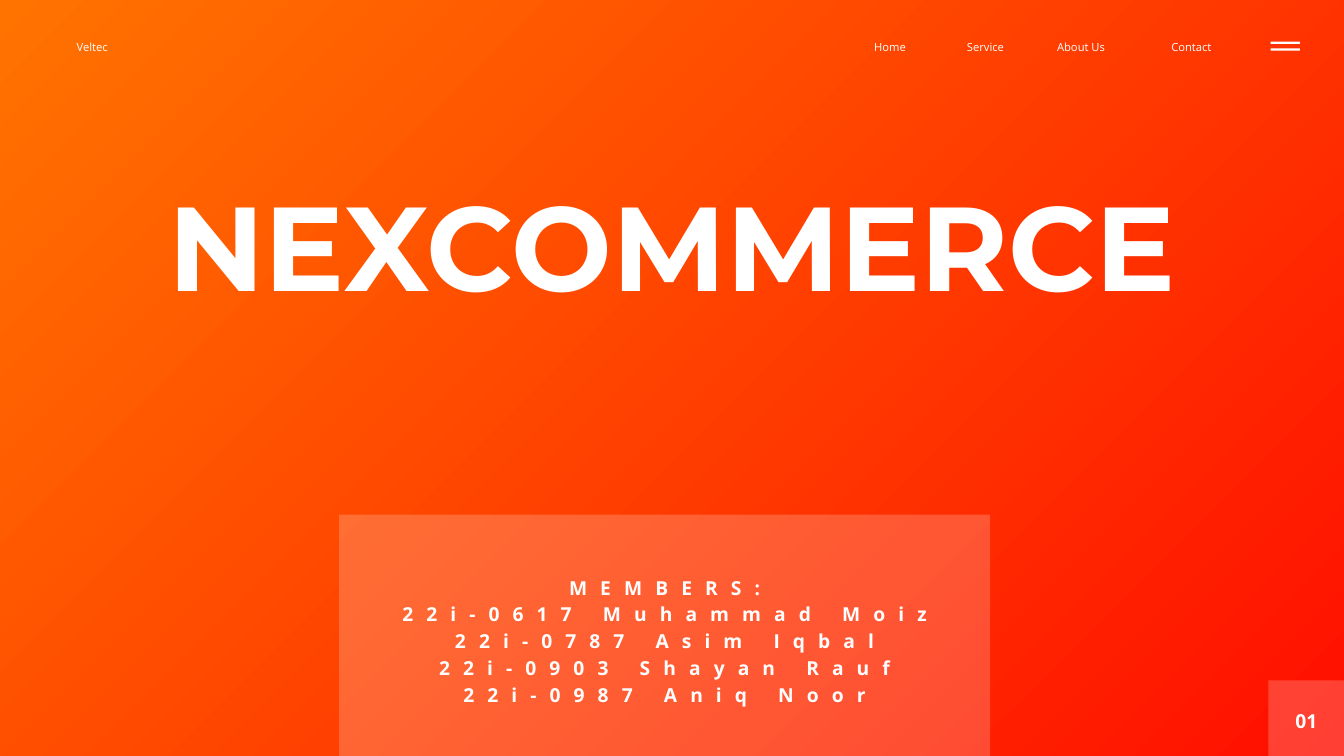
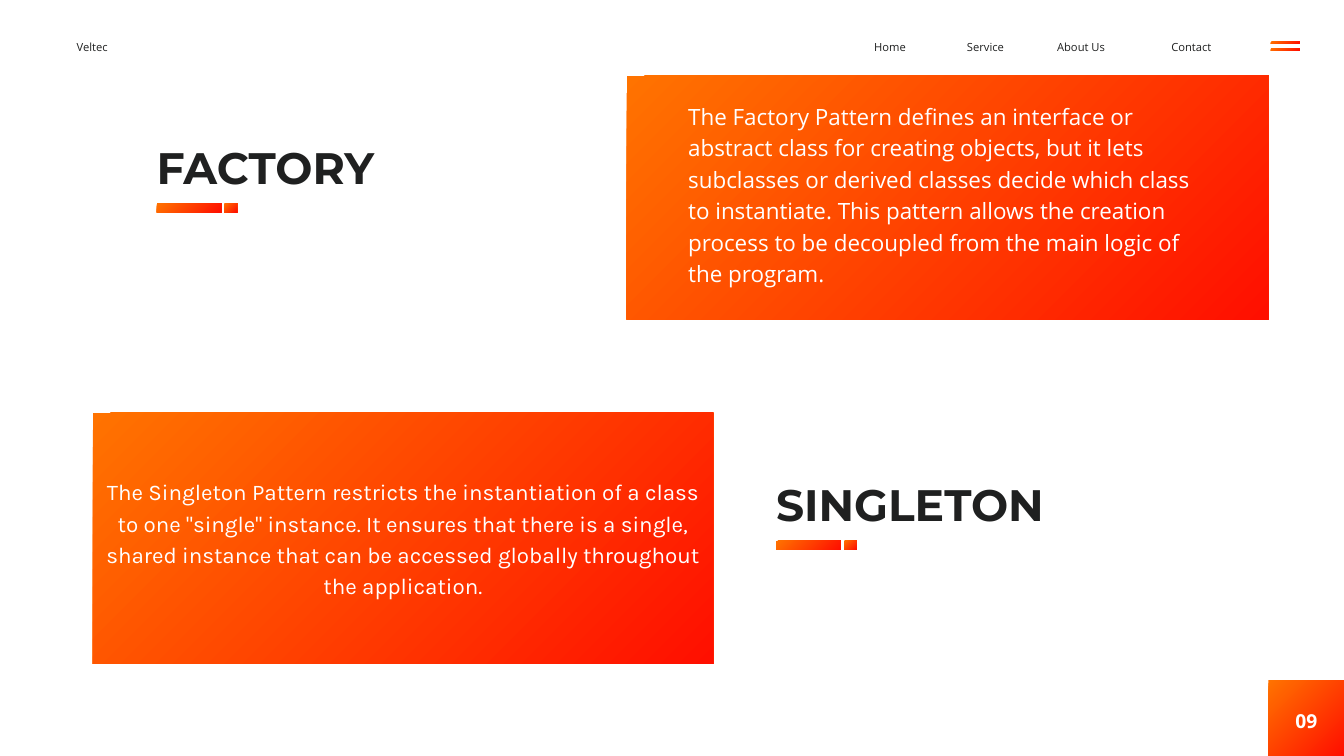
import lxml.etree
import pptx
import pptx.dml.color
import pptx.enum.shapes
import pptx.enum.text
import pptx.oxml.ns
import pptx.util

Pt = pptx.util.Pt
RGB = pptx.dml.color.RGBColor
ALIGN = pptx.enum.text.PP_ALIGN
ANCHOR = pptx.enum.text.MSO_ANCHOR
qn = pptx.oxml.ns.qn

WHITE = RGB(0xFF, 0xFF, 0xFF)
INK = RGB(0x1F, 0x20, 0x20)
ORANGE = RGB(0xFF, 0x73, 0x00)
RED = RGB(0xFF, 0x0F, 0x00)

NAV = dict(name="Open Sans", size=12, leading=16.8)
LABEL = dict(name="Open Sans", size=20.6, leading=28.9, bold=True, align=ALIGN.CENTER)
MEMBERS = dict(LABEL, spacing=14)
COVER = dict(name="Montserrat", size=127.8, leading=123.9, bold=True, align=ALIGN.CENTER)
HEADING = dict(name="Montserrat", size=47.2, leading=45.8, bold=True, color=INK)
BODY = dict(name="Open Sans", size=24, leading=33.6)
CENTERED = dict(BODY, name="Karla", align=ALIGN.CENTER, anchor=ANCHOR.MIDDLE, inset=4.3)

NAV_ITEMS = [("Veltec", 82.1, 152), ("Home", 936.7, 64), ("Service", 1036.1, 57.6),
             ("About Us", 1132.6, 83.5), ("Contact", 1255, 77)]


class Deck:
    """Holds the shared style and the slide being built."""

    def __init__(self):
        self.prs = pptx.Presentation()
        self.prs.slide_width, self.prs.slide_height = Pt(1440), Pt(810)
        self.s = None

    def slide(self, layout, number, dark):
        self.s = self.prs.slides.add_slide(self.prs.slide_layouts[layout])
        fill = self.s.background.fill
        if dark:
            self.gradient(fill)
        else:
            fill.solid()
            fill.fore_color.rgb = WHITE
        for y in (44.6, 51.8):
            self.panel(1361.5, y, 31.2, 2.4, alpha=100 if dark else None)
        self.panel(1359, 729, 81, 81, alpha=20 if dark else None)
        for item, x, w in NAV_ITEMS:
            self.text([item], x, 41, w, 15.8, dict(NAV, color=WHITE if dark else INK))
        self.text([number], 1381.7, 755.3, 36, 26.6, LABEL)

    def gradient(self, fill):
        fill.gradient()
        fill.gradient_angle = 315
        for stop, color in zip(fill.gradient_stops, (ORANGE, RED)):
            stop.color.rgb = color

    def panel(self, x, y, w, h, alpha=None):
        rect = pptx.enum.shapes.MSO_SHAPE.RECTANGLE
        sp = self.s.shapes.add_shape(rect, Pt(x), Pt(y), Pt(w), Pt(h))
        sp.shadow.inherit = False
        sp.line.fill.background()
        if alpha is None:
            self.gradient(sp.fill)
            return
        sp.fill.solid()
        sp.fill.fore_color.rgb = WHITE
        if alpha < 100:
            clr = sp._element.spPr.find(qn("a:solidFill"))[0]
            lxml.etree.SubElement(clr, qn("a:alpha"), val=str(alpha * 1000))

    def text(self, lines, x, y, w, h, style, holder=None):
        if holder is None:
            sp = self.s.shapes.add_textbox(Pt(x), Pt(y), Pt(w), Pt(h))
        else:
            sp = self.s.placeholders[holder]
            self.s.shapes._spTree.append(sp._element)
            box = dict(left=x, top=y, width=w, height=h)
            for key, value in box.items():
                setattr(sp, key, Pt(value))
        tf = sp.text_frame
        inset = Pt(style.get("inset", 0))
        frame = dict(word_wrap=True, auto_size=pptx.enum.text.MSO_AUTO_SIZE.NONE,
                     vertical_anchor=style.get("anchor", ANCHOR.TOP),
                     margin_left=inset, margin_right=inset,
                     margin_top=inset, margin_bottom=inset)
        for key, value in frame.items():
            setattr(tf, key, value)
        for i, line in enumerate(lines):
            self.line(tf.add_paragraph() if i else tf.paragraphs[0], line, style)

    def line(self, p, line, style):
        form = dict(alignment=style.get("align", ALIGN.LEFT), space_before=Pt(0),
                    space_after=Pt(0), line_spacing=Pt(style["leading"]))
        for key, value in form.items():
            setattr(p, key, value)
        pPr = p._p.get_or_add_pPr()
        pPr.set("marL", "0")
        pPr.set("indent", "0")
        lxml.etree.SubElement(pPr, qn("a:buNone"))
        r = p.add_run()
        r.text = line
        font = dict(name=style["name"], size=Pt(style["size"]), bold=style.get("bold", False))
        for key, value in font.items():
            setattr(r.font, key, value)
        r.font.color.rgb = style.get("color", WHITE)
        if "spacing" in style:
            r._r.get_or_add_rPr().set("spc", str(style["spacing"] * 100))

    def heading(self, title, x, y, holder=None):
        self.text([title], x, y, 500.4, 48.2, HEADING, holder)
        for dx, w in ((0, 69.4), (72.7, 13.7)):
            self.panel(x + dx, y + 56.6, w, 9.6)


def main():
    deck = Deck()

    deck.slide(0, "01", dark=True)
    deck.text(["NEXCOMMERCE"], 161.3, 213.8, 1117.4, 278.6, COVER, holder=0)
    deck.panel(363.5, 551.5, 697.5, 258.5, alpha=20)
    deck.text(["MEMBERS:", "22i-0617 Muhammad Moiz", "22i-0787 Asim Iqbal",
               "22i-0903 Shayan Rauf", "22i-0987 Aniq Noor"],
              359.3, 612.7, 705.6, 169.2, MEMBERS, holder=1)

    deck.slide(3, "09", dark=False)
    deck.panel(671.4, 81, 687.6, 261)
    deck.heading("FACTORY", 167.8, 161.3, holder=0)
    deck.text(["The Factory Pattern defines an interface or abstract class for creating "
               "objects, but it lets subclasses or derived classes decide which class to "
               "instantiate. This pattern allows the creation process to be decoupled "
               "from the main logic of the program."],
              737.3, 105.8, 555.8, 196.6, BODY, holder=1)
    deck.panel(99.4, 442.1, 664.6, 269.3)
    deck.text(["The Singleton Pattern restricts the instantiation of a class to one "
               "\"single\" instance. It ensures that there is a single, shared instance "
               "that can be accessed globally throughout the application."],
              99.4, 438.5, 664.6, 272.9, CENTERED, holder=2)
    deck.heading("SINGLETON", 831.6, 522.7)

    deck.prs.save("out.pptx")


if __name__ == "__main__":
    main()
